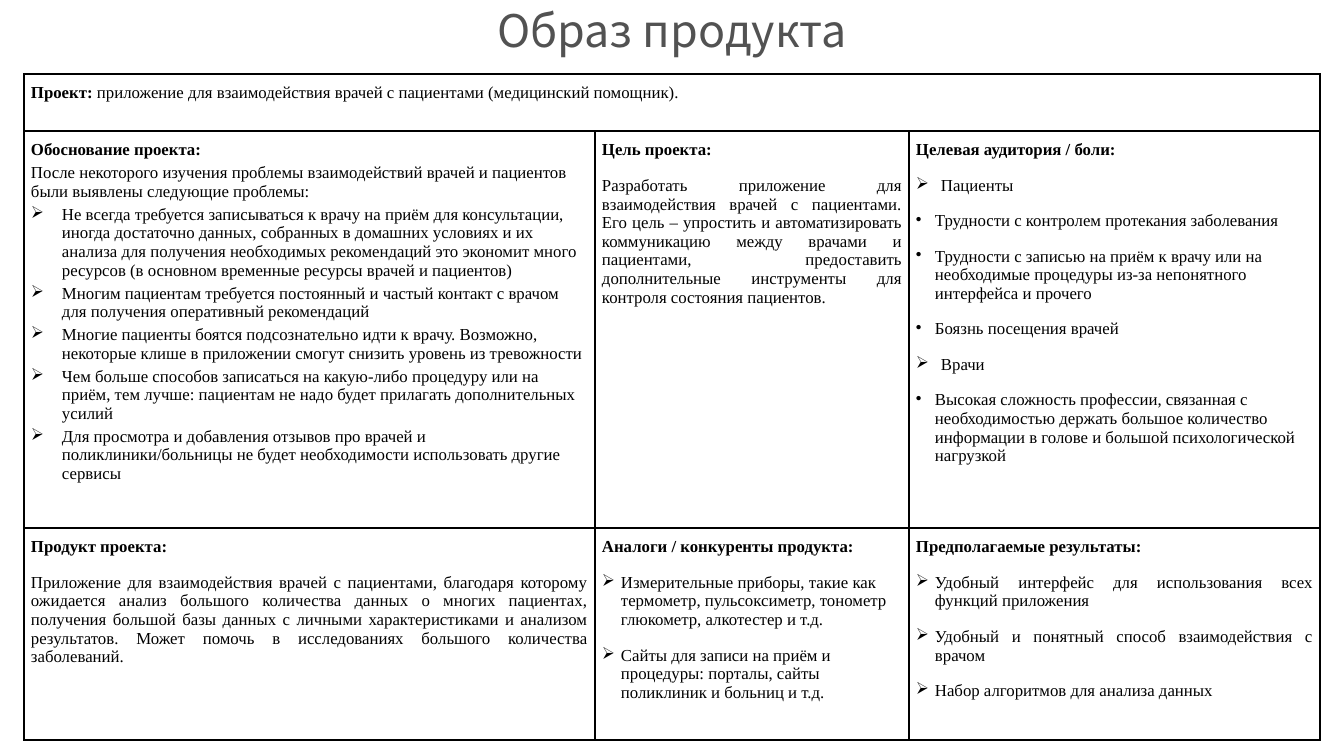
import lxml.etree
import pptx
import pptx.dml.color
import pptx.enum.text
import pptx.oxml.ns
import pptx.util

EMU_PER_PX = 914400 / 100.8
COLORS = {"title": "525252", "text": "000000", "border": "000000"}
TITLE_FONT, BODY_FONT = "Noto Sans CJK JP", "Times New Roman"
LEFT = pptx.enum.text.PP_ALIGN.LEFT
JUSTIFY = pptx.enum.text.PP_ALIGN.JUSTIFY
CENTER = pptx.enum.text.PP_ALIGN.CENTER

COLUMN_WIDTHS = [571, 314, 411]
ROW_HEIGHTS = [57, 397, 212]


def px(length):
    return pptx.util.Emu(round(length * EMU_PER_PX))


def paragraph_style(before=12, alignment=LEFT, bullet=None, indent=0, **extra):
    """Return paragraph format values, a bullet character and its hanging indent."""
    values = {"space_before": pptx.util.Pt(before), "alignment": alignment, **extra}
    return values, bullet, indent


STYLES = {
    "plain": paragraph_style(),
    "tight": paragraph_style(before=3),
    "justified": paragraph_style(alignment=JUSTIFY),
    "product": paragraph_style(alignment=JUSTIFY, space_after=pptx.util.Pt(6)),
    "reason": paragraph_style(before=3, bullet="➢", indent=31),
    "audience": paragraph_style(bullet="➢", indent=25),
    "pain": paragraph_style(bullet="•", indent=19),
    "analog": paragraph_style(bullet="➢", indent=19),
    "result": paragraph_style(alignment=JUSTIFY, bullet="➢", indent=19),
}

# Each cell: (row, column), then its paragraphs as (style, bold part, regular part)
CELLS = {
    (0, 0): [
        ("plain", "Проект: ", "приложение для взаимодействия врачей с пациентами (медицинский помощник)."),
    ],
    (1, 0): [
        ("tight", "Обоснование проекта:", ""),
        ("tight", "", "После некоторого изучения проблемы взаимодействий врачей и пациентов "
         "были выявлены следующие проблемы:"),
        ("reason", "", "Не всегда требуется записываться к врачу на приём для консультации, "
         "иногда достаточно данных, собранных в домашних условиях и их анализа для получения "
         "необходимых рекомендаций это экономит много ресурсов (в основном временные ресурсы "
         "врачей и пациентов)"),
        ("reason", "", "Многим пациентам требуется постоянный и частый контакт с врачом "
         "для получения оперативный рекомендаций"),
        ("reason", "", "Многие пациенты боятся подсознательно идти к врачу. Возможно, "
         "некоторые клише в приложении смогут снизить уровень из тревожности"),
        ("reason", "", "Чем больше способов записаться на какую-либо процедуру или на приём, "
         "тем лучше: пациентам не надо будет прилагать дополнительных усилий"),
        ("reason", "", "Для просмотра и добавления отзывов про врачей и поликлиники/больницы "
         "не будет необходимости использовать другие сервисы"),
    ],
    (1, 1): [
        ("tight", "Цель проекта:", ""),
        ("justified", "", "Разработать приложение для взаимодействия врачей с пациентами. "
         "Его цель – упростить и автоматизировать коммуникацию между врачами и пациентами, "
         "предоставить дополнительные инструменты для контроля состояния пациентов."),
    ],
    (1, 2): [
        ("justified", "Целевая аудитория / боли:", ""),
        ("audience", "", "Пациенты"),
        ("pain", "", "Трудности с контролем протекания заболевания"),
        ("pain", "", "Трудности с записью на приём к врачу или на необходимые процедуры "
         "из-за непонятного интерфейса и прочего"),
        ("pain", "", "Боязнь посещения врачей"),
        ("audience", "", "Врачи"),
        ("pain", "", "Высокая сложность профессии, связанная с необходимостью держать большое "
         "количество информации в голове и большой психологической нагрузкой"),
    ],
    (2, 0): [
        ("plain", "Продукт проекта:", ""),
        ("product", "", "Приложение для взаимодействия врачей с пациентами, благодаря которому "
         "ожидается анализ большого количества данных о многих пациентах, получения большой базы "
         "данных с личными характеристиками и анализом результатов. Может помочь в исследованиях "
         "большого количества заболеваний."),
    ],
    (2, 1): [
        ("plain", "Аналоги / конкуренты продукта:", ""),
        ("analog", "", "Измерительные приборы, такие как термометр, пульсоксиметр, тонометр "
         "глюкометр, алкотестер и т.д."),
        ("analog", "", "Сайты для записи на приём и процедуры: порталы, сайты поликлиник "
         "и больниц и т.д."),
    ],
    (2, 2): [
        ("justified", "Предполагаемые результаты:", ""),
        ("result", "", "Удобный интерфейс для использования всех функций приложения"),
        ("result", "", "Удобный и понятный способ взаимодействия с врачом"),
        ("result", "", "Набор алгоритмов для анализа данных"),
    ],
}


def apply_format(target, values):
    for name, value in values.items():
        setattr(target, name, value)


def add_child(parent, tag, **attributes):
    return lxml.etree.SubElement(parent, pptx.oxml.ns.qn(tag), attributes)


def add_run(paragraph, text, color, **font_values):
    run = paragraph.add_run()
    run.text = text
    apply_format(run.font, font_values)
    run.font.color.rgb = pptx.dml.color.RGBColor.from_string(COLORS[color])


def set_bullet(paragraph, character, indent):
    properties = paragraph._p.get_or_add_pPr()
    properties.set("marL", str(px(indent)))
    properties.set("indent", str(-px(indent)))
    bullet_color = add_child(properties, "a:buClr")
    add_child(bullet_color, "a:srgbClr", val=COLORS["text"])
    add_child(properties, "a:buChar", char=character)


def set_borders(cell):
    properties = cell._tc.get_or_add_tcPr()
    for tag in ("a:lnL", "a:lnR", "a:lnT", "a:lnB"):
        line = add_child(properties, tag, w=str(pptx.util.Pt(1)))
        fill = add_child(line, "a:solidFill")
        add_child(fill, "a:srgbClr", val=COLORS["border"])


def fill_cell(cell, entries):
    for index, (style, bold_text, regular_text) in enumerate(entries):
        frame = cell.text_frame
        paragraph = frame.add_paragraph() if index else frame.paragraphs[0]
        values, bullet, indent = STYLES[style]
        apply_format(paragraph, values)
        if bullet:
            set_bullet(paragraph, bullet, indent)
        for text, bold in ((bold_text, True), (regular_text, False)):
            if text:
                add_run(paragraph, text, "text", name=BODY_FONT, size=pptx.util.Pt(12), bold=bold)


def add_title(slide, text):
    box = slide.shapes.add_textbox(px(197), px(0), px(950), px(62))
    apply_format(box.text_frame, {
        "word_wrap": True,
        "vertical_anchor": pptx.enum.text.MSO_ANCHOR.BOTTOM,
    })
    paragraph = box.text_frame.paragraphs[0]
    apply_format(paragraph, {"alignment": CENTER, "line_spacing": 0.9})
    add_run(paragraph, text, "title", name=TITLE_FONT, size=pptx.util.Pt(32))


def add_project_table(slide):
    frame = slide.shapes.add_table(
        len(ROW_HEIGHTS), len(COLUMN_WIDTHS),
        px(24), px(74), px(sum(COLUMN_WIDTHS)), px(sum(ROW_HEIGHTS)))
    table = frame.table
    apply_format(table, {"first_row": False, "horz_banding": False})
    for column, width in zip(table.columns, COLUMN_WIDTHS):
        column.width = px(width)
    for row, height in zip(table.rows, ROW_HEIGHTS):
        row.height = px(height)

    # Frame and margins of every cell
    margins = {"margin_left": px(7), "margin_right": px(7),
               "margin_top": px(10), "margin_bottom": px(10)}
    for cell in table.iter_cells():
        apply_format(cell, margins)
        set_borders(cell)
        cell.fill.background()

    # Project line across the full width, then the texts
    table.cell(0, 0).merge(table.cell(0, len(COLUMN_WIDTHS) - 1))
    for (row, column), entries in CELLS.items():
        fill_cell(table.cell(row, column), entries)


def main():
    presentation = pptx.Presentation()
    apply_format(presentation, {"slide_width": px(1344), "slide_height": px(756)})
    slide = presentation.slides.add_slide(presentation.slide_layouts[6])
    add_title(slide, "Образ продукта")
    add_project_table(slide)
    presentation.save("out.pptx")


if __name__ == "__main__":
    main()
